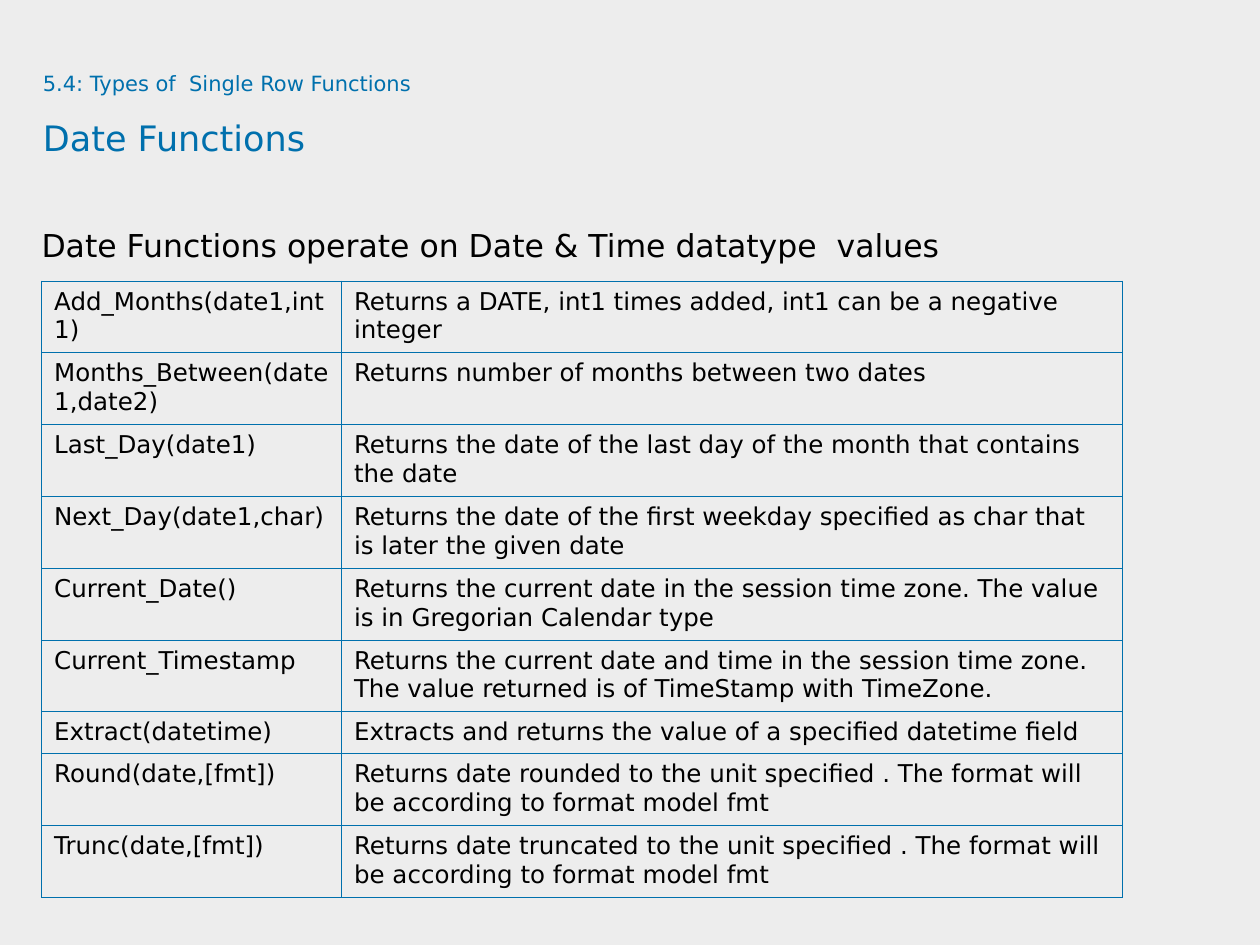
from typing import NamedTuple

from lxml import etree
from pptx import Presentation
from pptx.dml.color import RGBColor
from pptx.enum.text import MSO_ANCHOR
from pptx.oxml.ns import qn
from pptx.util import Inches, Pt

TOP = MSO_ANCHOR.TOP
FONT = "DejaVu Sans"
BLUE, BLACK, PALE_GREY = "0070AD", "000000", "EDEDED"
BORDER_WIDTH = Pt(0.45)
BORDER_SIDES = ("a:lnL", "a:lnR", "a:lnT", "a:lnB")


class Line(NamedTuple):
    text: str
    size: float
    color: str


class DateFunction(NamedTuple):
    signature: str
    description: str
    height: float = 0.57


HEADING = [
    Line("5.4: Types of  Single Row Functions ", 12, BLUE),
    Line("Date Functions", 20, BLUE),
]
INTRO = [Line("Date Functions operate on Date & Time datatype  values", 18, BLACK)]
DATE_FUNCTIONS = [
    DateFunction("Add_Months(date1,int1)",
                 "Returns a DATE, int1 times added, int1 can be a negative integer"),
    DateFunction("Months_Between(date1,date2)",
                 "Returns number of months between two dates"),
    DateFunction("Last_Day(date1)",
                 "Returns the date of the last day of the month that contains the date"),
    DateFunction("Next_Day(date1,char)",
                 "Returns the date of the first weekday specified as char "
                 "that is later the given date"),
    DateFunction("Current_Date()",
                 "Returns the current date in the session time zone. "
                 "The value is in Gregorian Calendar type"),
    DateFunction("Current_Timestamp",
                 "Returns the current date and time in the session time zone. "
                 "The value returned is of TimeStamp with TimeZone."),
    DateFunction("Extract(datetime)",
                 "Extracts and returns the value of a specified datetime field", 0.33),
    DateFunction("Round(date,[fmt])",
                 "Returns date rounded to the unit specified . "
                 "The format will be according to format model fmt"),
    DateFunction("Trunc(date,[fmt])",
                 "Returns date truncated to the unit specified . "
                 "The format will be according to format model fmt"),
]
COLUMN_WIDTHS = (2.38, 6.2)


def rgb(color: str) -> RGBColor:
    return RGBColor.from_string(color)


def set_all(target, values: dict) -> None:
    for name, value in values.items():
        setattr(target, name, value)


def add_run(paragraph, line: Line) -> None:
    run = paragraph.add_run()
    run.text = line.text
    set_all(run.font, {"name": FONT, "size": Pt(line.size)})
    run.font.color.rgb = rgb(line.color)


def add_text(slide, lines: list[Line], left: float, top: float,
             width: float, height: float, space_after: float = 0) -> None:
    box = slide.shapes.add_textbox(Inches(left), Inches(top), Inches(width), Inches(height))
    set_all(box.text_frame, {
        "word_wrap": True, "vertical_anchor": TOP, "margin_left": 0,
        "margin_right": 0, "margin_top": 0, "margin_bottom": 0,
    })
    paragraph = box.text_frame.paragraphs[0]
    set_all(paragraph, {"line_spacing": 1.5, "space_after": Pt(space_after)})
    for index, line in enumerate(lines):
        if index:
            paragraph.add_line_break()
        add_run(paragraph, line)


def add_borders(cell, color: str) -> None:
    properties = cell._tc.get_or_add_tcPr()
    for position, side in enumerate(BORDER_SIDES):
        border = etree.Element(qn(side), w=str(int(BORDER_WIDTH)))
        fill = etree.SubElement(border, qn("a:solidFill"))
        etree.SubElement(fill, qn("a:srgbClr"), val=color)
        properties.insert(position, border)  # borders precede the fill


def fill_cell(cell, text: str) -> None:
    cell.fill.background()
    set_all(cell, {
        "margin_left": Inches(0.1), "margin_right": Inches(0.1),
        "margin_top": Inches(0.05), "margin_bottom": Inches(0.05),
        "vertical_anchor": TOP,
    })
    paragraph = cell.text_frame.paragraphs[0]
    paragraph.space_before = Pt(3.5)
    add_run(paragraph, Line(text, 14, BLACK))
    add_borders(cell, BLUE)


def add_function_table(slide, functions: list[DateFunction], left: float, top: float) -> None:
    table = slide.shapes.add_table(
        len(functions), len(COLUMN_WIDTHS), Inches(left), Inches(top),
        Inches(sum(COLUMN_WIDTHS)), Inches(sum(f.height for f in functions)),
    ).table
    set_all(table, {"first_row": False, "horz_banding": False})
    for column, width in zip(table.columns, COLUMN_WIDTHS):
        column.width = Inches(width)
    for row, function in zip(table.rows, functions):
        row.height = Inches(function.height)
        for cell, text in zip(row.cells, (function.signature, function.description)):
            fill_cell(cell, text)


def main() -> None:
    deck = Presentation()
    set_all(deck, {"slide_width": Inches(10), "slide_height": Inches(7.5)})
    slide = deck.slides.add_slide(deck.slide_layouts[6])

    # Background
    slide.background.fill.solid()
    slide.background.fill.fore_color.rgb = rgb(PALE_GREY)

    # Heading and introduction
    add_text(slide, HEADING, 0.34, 0.46, 9.09, 0.94)
    add_text(slide, INTRO, 0.33, 1.64, 9.67, 5.08, space_after=4.5)

    # Date function reference
    add_function_table(slide, DATE_FUNCTIONS, 0.33, 2.23)

    deck.save("out.pptx")


if __name__ == "__main__":
    main()
